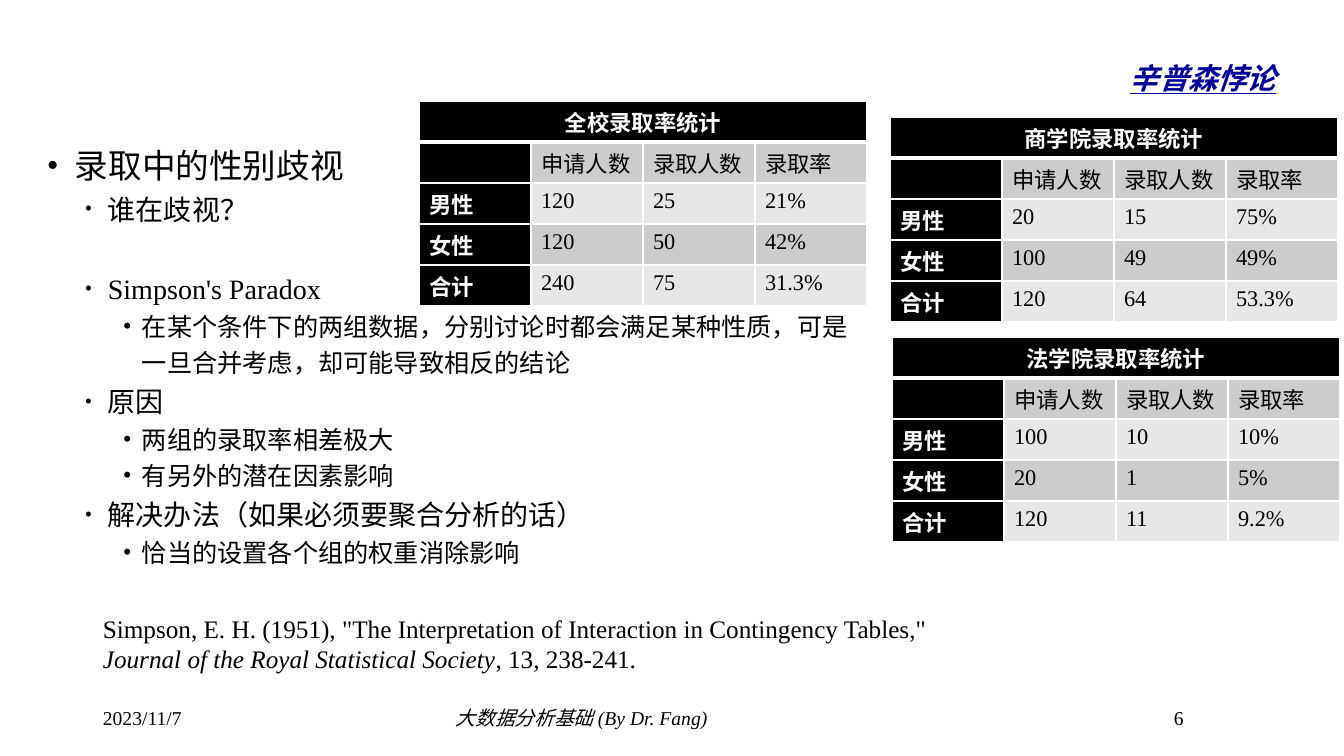
from lxml import etree
from pptx import Presentation
from pptx import util as u
from pptx.dml.color import RGBColor
from pptx.enum import text
from pptx.oxml.ns import qn

FONT = "Times New Roman"
COLORS = {"title": "000099", "ink": "000000", "paper": "FFFFFF",
          "odd": "CCCCCC", "even": "E7E7E7"}

# Content: (level, text, points of space before)
outline = [
    (0, "录取中的性别歧视", 0),
    (1, "谁在歧视？", 0),
    (1, "Simpson's Paradox", 28),
    (2, "在某个条件下的两组数据，分别讨论时都会满足某种性质，可是一旦合并考虑，却可能导致相反的结论", 0),
    (1, "原因", 0),
    (2, "两组的录取率相差极大", 0),
    (2, "有另外的潜在因素影响", 0),
    (1, "解决办法（如果必须要聚合分析的话）", 0),
    (2, "恰当的设置各个组的权重消除影响", 0),
]
# Per level: font points, text indent px, hanging px, bullet size %
LEVELS = [(24, 28, 28, 100), (20, 61, 23, 75), (18, 95, 19, 100)]

HEADINGS = ["", "申请人数", "录取人数", "录取率"]
GROUPS = ["男性", "女性", "合计"]
# (title, left, top, figures per group)
admissions = [
    ("全校录取率统计", 419, 101,
     [("120", "25", "21%"), ("120", "50", "42%"), ("240", "75", "31.3%")]),
    ("商学院录取率统计", 890, 117,
     [("20", "15", "75%"), ("100", "49", "49%"), ("120", "64", "53.3%")]),
    ("法学院录取率统计", 892, 337,
     [("100", "10", "10%"), ("20", "1", "5%"), ("120", "11", "9.2%")]),
]
COLUMN, ROW = 112, 41

citation = [
    ("Simpson, E. H. (1951), \"The Interpretation of Interaction in Contingency Tables,\" ", False),
    ("Journal of the Royal Statistical Society", True),
    (", 13, 238-241.", False),
]
# (text, box, italic)
footers = [
    ("2023/11/7", (93, 701, 302, 40), False),
    ("大数据分析基础 (By Dr. Fang)", (446, 701, 647, 40), True),
    ("6", (1164, 701, 88, 40), False),
]


def px(n):
    return round(n * 914400 / 100.8)


def write(paragraph, words, size, color="ink", **formats):
    run = paragraph.add_run()
    run.text = words
    run.font.color.rgb = RGBColor.from_string(COLORS[color])
    for key, value in {"name": FONT, "size": u.Pt(size), **formats}.items():
        setattr(run.font, key, value)
    return run


def add_frame(box):
    frame = slide.shapes.add_textbox(*map(px, box)).text_frame
    frame.word_wrap = True
    return frame


def add_bullet(paragraph, indent, hanging, percent):
    props = paragraph._p.get_or_add_pPr()
    props.set("marL", str(px(indent)))
    props.set("indent", str(-px(hanging)))
    etree.SubElement(props, qn("a:buSzPct"), val=str(percent * 1000))
    etree.SubElement(props, qn("a:buFont"), typeface=FONT)
    etree.SubElement(props, qn("a:buChar"), char="•")


def add_borders(cell, widths):
    props = cell._tc.get_or_add_tcPr()
    for place, (side, points) in enumerate(widths.items()):
        line = etree.Element(qn("a:ln" + side), w=str(u.Pt(points)))
        fill = etree.SubElement(line, qn("a:solidFill"))
        etree.SubElement(fill, qn("a:srgbClr"), val=COLORS["paper"])
        props.insert(place, line)


prs = Presentation()
prs.slide_width, prs.slide_height = px(1344), px(756)
slide = prs.slides.add_slide(prs.slide_layouts[6])

# Title, lowered below its baseline
title = add_frame((196, 5, 1090, 111))
title.vertical_anchor = text.MSO_ANCHOR.MIDDLE
title.paragraphs[0].alignment = text.PP_ALIGN.RIGHT
heading = write(title.paragraphs[0], "辛普森悖论", 36, "title",
                bold=True, italic=True, underline=True)
heading.font._element.set("baseline", "-25000")

# Outline
body = add_frame((37, 132, 845, 563))
for i, (level, words, gap) in enumerate(outline):
    point = body.add_paragraph() if i else body.paragraphs[0]
    size, *bullet = LEVELS[level]
    for key, value in {"level": level, "line_spacing": 1.2, "space_before": u.Pt(gap)}.items():
        setattr(point, key, value)
    add_bullet(point, *bullet)
    write(point, words, size)

# Footer
for words, box, italic in footers:
    write(add_frame(box).paragraphs[0], words, 14, italic=italic)

# Admission tables
for name, left, top, figures in admissions:
    rows = [[name, "", "", ""], HEADINGS]
    rows += [[group, *values] for group, values in zip(GROUPS, figures)]
    table = slide.shapes.add_table(len(rows), len(HEADINGS), px(left), px(top),
                                   px(COLUMN * len(HEADINGS)), px(ROW * len(rows))).table
    for r, row in enumerate(rows):
        for c, words in enumerate(row):
            cell = table.cell(r, c)
            label = r == 0 or c == 0
            shade = "ink" if label else "odd" if r % 2 else "even"
            cell.fill.solid()
            cell.fill.fore_color.rgb = RGBColor.from_string(COLORS[shade])
            add_borders(cell, {"L": 1, "R": 1, "T": 3 if r == 1 else 1, "B": 3 if r == 0 else 1})
            if words:
                write(cell.text_frame.paragraphs[0], words, 16,
                      "paper" if label else "ink", bold=label)
    table.cell(0, 0).merge(table.cell(0, len(HEADINGS) - 1))
    table.cell(0, 0).text_frame.paragraphs[0].alignment = text.PP_ALIGN.CENTER

# Citation
reference = add_frame((93, 608, 897, 72)).paragraphs[0]
for words, italic in citation:
    write(reference, words, 18, italic=italic)

prs.save("out.pptx")
